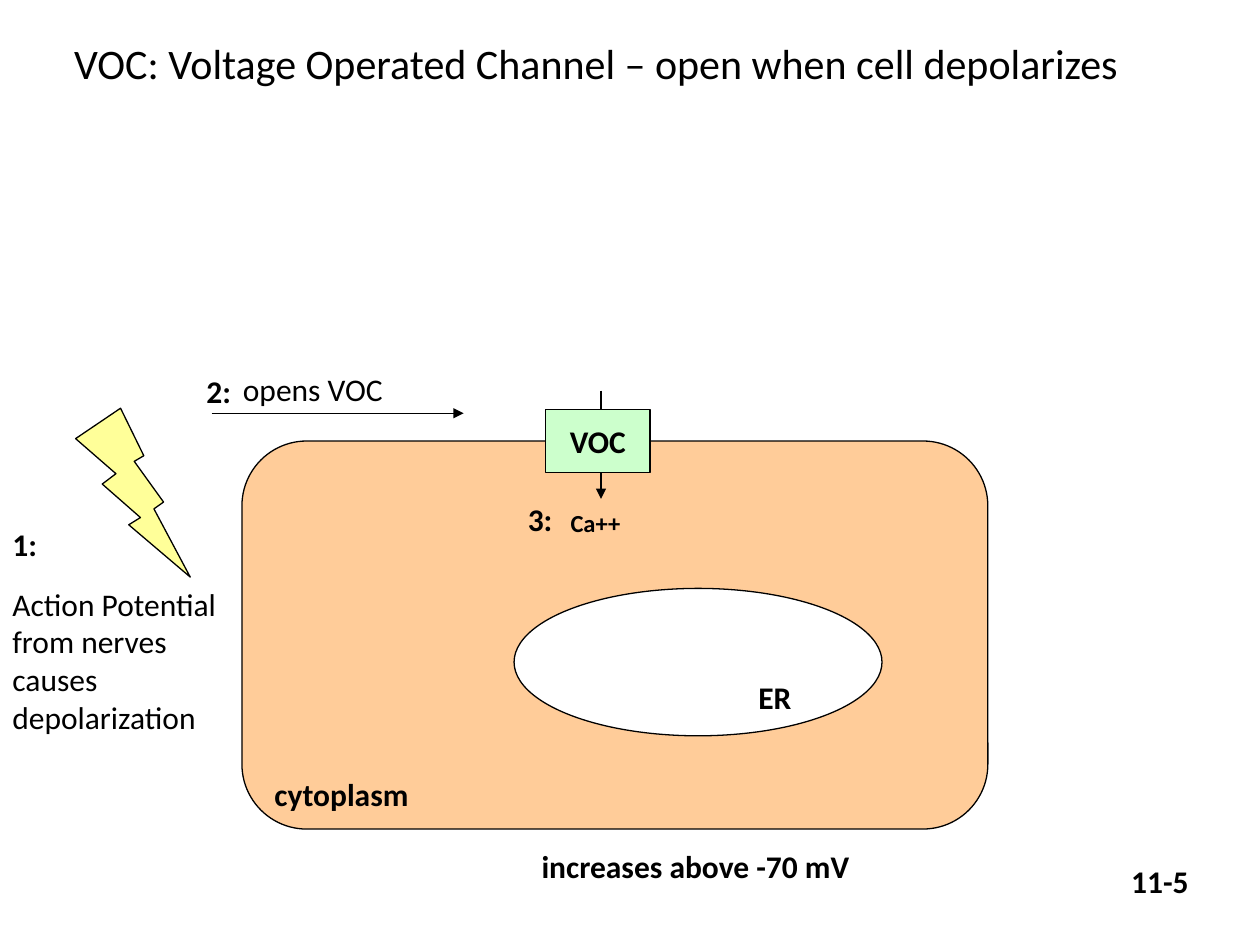
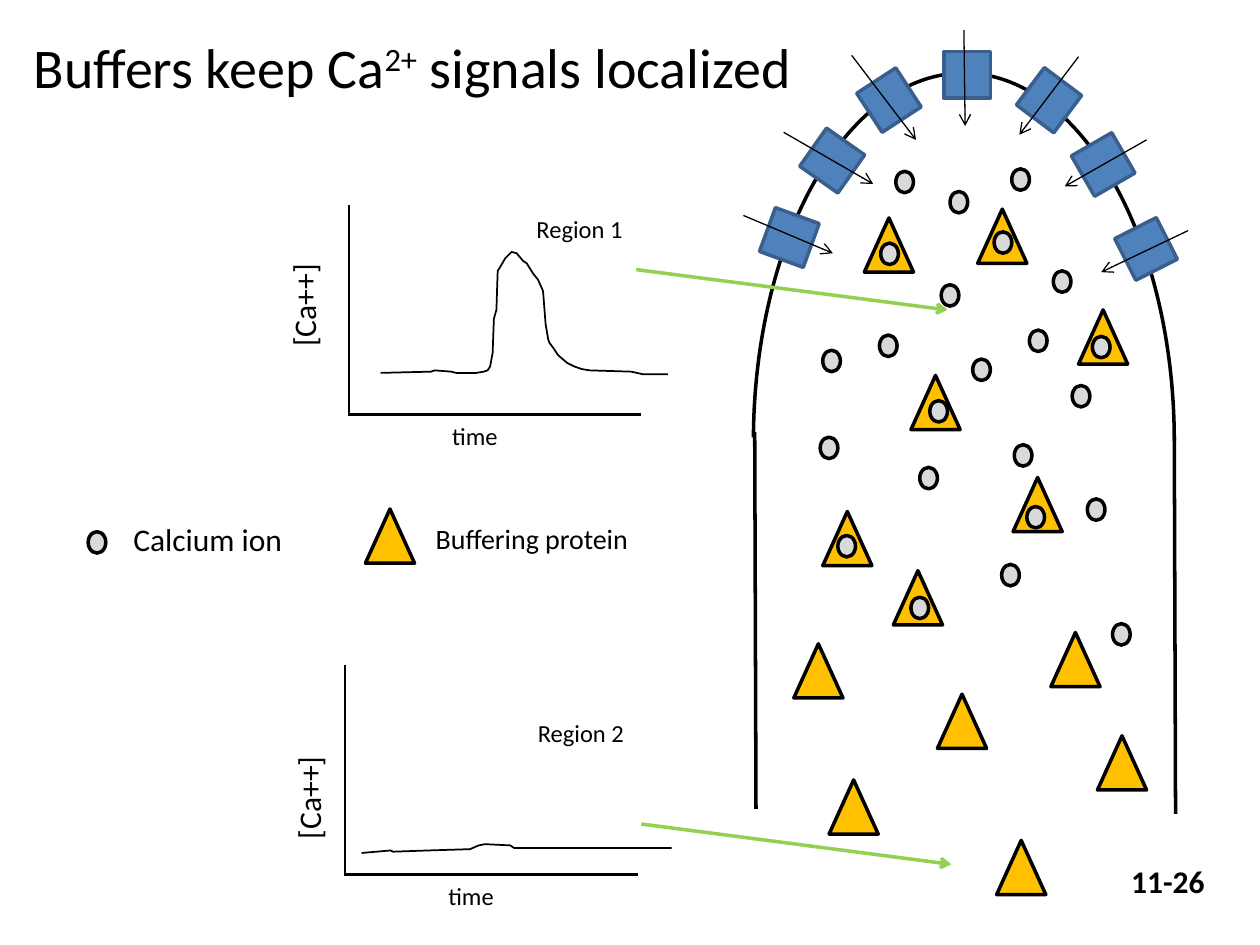
from lxml import etree
from pptx import Presentation
from pptx.dml.color import RGBColor
from pptx.enum import shapes, text
from pptx.oxml.ns import qn
from pptx.util import Inches, Pt

FONT = "Calibri"
BLACK = RGBColor(0x00, 0x00, 0x00)
WHITE = RGBColor(0xFF, 0xFF, 0xFF)
CELL = RGBColor(0xFF, 0xCC, 0x99)
BOLT = RGBColor(0xFF, 0xFF, 0x99)
VOC = RGBColor(0xCC, 0xFF, 0xCC)
BUFFER = RGBColor(0xFF, 0xC0, 0x00)
ION = RGBColor(0xD9, 0xD9, 0xD9)
CHANNEL = RGBColor(0x4F, 0x81, 0xBD)
CHANNEL_EDGE = RGBColor(0x3A, 0x5F, 0x8C)
POINTER = RGBColor(0x92, 0xD0, 0x50)
MSO = shapes.MSO_SHAPE

# Slide 1: (text, box, format)
BOLD = {"bold": True}
VOC_TITLE = ("VOC: Voltage Operated Channel – open when cell depolarizes",
             (0.49, 0.25, 8.5, 0.5), {"size": 24})
VOC_LABELS = [
    ("cytoplasm", (2.08, 6.1, 1.67, 0.4), BOLD),
    ("ER", (5.92, 5.33, 1.67, 0.4), BOLD),
    ("increases above -70 mV", (4.2, 6.67, 3.64, 0.4), BOLD),
    ("Action Potential from nerves causes depolarization", (0, 4.59, 1.85, 1.3), {}),
    ("opens VOC", (1.83, 2.89, 1.96, 0.4), {}),
    ("Ca++", (4.43, 3.98, 2.17, 0.33), {"bold": True, "size": 14}),
    ("3:", (4.09, 3.92, 1.49, 0.4), BOLD),
    ("2:", (1.54, 2.9, 1.49, 0.4), BOLD),
    ("1:", (0, 4.12, 1.49, 0.4), BOLD),
]

# Slide 2
BUFFER_TITLE = [("Buffers keep Ca", False), ("2+", True), (" signals localized", False)]
BUFFER_SIZE, ION_SIZE, CHANNEL_SIZE = (0.39, 0.43), (0.14, 0.17), (0.37, 0.37)
BUFFERS = [
    (7.76, 1.66), (6.86, 1.73), (6.53, 4.06), (7.09, 4.53), (8.04, 3.79),
    (7.23, 2.98), (8.56, 2.46), (8.34, 5.02), (6.58, 6.19), (8.71, 5.84),
    (7.44, 5.51), (6.3, 5.11), (7.91, 6.67),
]
IONS = [
    (7.11, 1.36), (7.54, 1.52), (8.03, 1.34), (6.99, 1.93), (7.89, 1.84),
    (8.36, 2.15), (7.47, 2.26), (8.17, 2.62), (6.98, 2.66), (7.72, 2.85),
    (8.51, 3.06), (6.51, 3.47), (7.3, 3.71), (8.05, 3.53), (8.63, 3.96),
    (6.53, 2.78), (6.65, 4.25), (7.95, 4.48), (8.67, 2.67), (7.38, 3.18),
    (8.15, 4.02), (8.83, 4.95), (7.23, 4.74),
]
# (corner, rotation, inflow start, inflow end)
CHANNELS = [
    ((6.08, 1.7), 20, (5.9, 1.71), (6.61, 2.01)),
    ((6.42, 1.09), 35.1, (6.22, 1.05), (6.93, 1.46)),
    ((6.87, 0.61), 56.9, (6.76, 0.44), (7.27, 1.11)),
    ((7.49, 0.41), 90, (7.65, 0.24), (7.66, 1)),
    ((8.14, 0.61), 126.8, (8.56, 0.45), (8.09, 1.07)),
    ((8.57, 1.12), 150, (9.1, 1.11), (8.45, 1.48)),
    ((8.91, 1.79), 153.1, (9.43, 1.83), (8.74, 2.16)),
]
WALLS = [((5.99, 3.43), (6, 6.42)), ((9.32, 3.47), (9.33, 6.46))]
AXIS_WIDTH, AXIS_HEIGHT = 2.33, 1.66
PLOTS = [
    {"name": "Region 1", "name_at": (4.16, 1.65), "origin": (2.77, 3.29),
     "unit_at": (1.83, 2.07), "pointer": ((5.05, 2.14), (7.52, 2.46)),
     "curve": [
         (3.02, 2.96), (3.42, 2.95), (3.45, 2.94), (3.58, 2.95), (3.62, 2.96),
         (3.78, 2.96), (3.84, 2.95), (3.87, 2.94), (3.89, 2.91), (3.91, 2.8),
         (3.92, 2.53), (3.94, 2.46), (3.95, 2.15), (3.97, 2.12), (4.01, 2.05),
         (4.06, 2), (4.1, 2.01), (4.15, 2.07), (4.18, 2.09), (4.23, 2.17),
         (4.27, 2.22), (4.31, 2.31), (4.33, 2.57), (4.35, 2.69), (4.36, 2.72),
         (4.39, 2.76), (4.43, 2.82), (4.5, 2.88), (4.56, 2.91), (4.62, 2.93),
         (4.68, 2.94), (5.01, 2.95), (5.1, 2.97), (5.3, 2.97)]},
    {"name": "Region 2", "name_at": (4.17, 5.65), "origin": (2.74, 6.94),
     "unit_at": (1.87, 5.98), "pointer": ((5.09, 6.54), (7.55, 6.86)),
     "curve": [
         (2.87, 6.77), (3.1, 6.75), (3.12, 6.76), (3.4, 6.75), (3.73, 6.74),
         (3.8, 6.71), (3.85, 6.7), (4.05, 6.71), (4.08, 6.73), (5.33, 6.73)]},
]


def inches(values):
    return [Inches(v) for v in values]


def add_text(slide, content, box, fmt=None, wrap=True, rotation=0):
    """Add a text box; content is a string or a list of (string, superscript)."""
    sp = slide.shapes.add_textbox(*inches(box))
    sp.rotation = rotation
    tf = sp.text_frame
    tf.word_wrap = wrap
    tf.auto_size = text.MSO_AUTO_SIZE.SHAPE_TO_FIT_TEXT
    runs = [(content, False)] if isinstance(content, str) else content
    write(tf.paragraphs[0], runs, fmt or {})


def write(p, runs, fmt):
    for words, raised in runs:
        r = p.add_run()
        r.text = words
        for key, value in {"name": FONT, "size": 18, **fmt}.items():
            setattr(r.font, key, Pt(value) if key == "size" else value)
        r.font.color.rgb = BLACK
        if raised:
            r._r.get_or_add_rPr().set("baseline", "30000")


def add_shape(slide, kind, box, fill=None, width=0.75, edge=BLACK, rotation=0):
    sp = slide.shapes.add_shape(kind, *inches(box))
    sp.rotation = rotation
    return paint(sp, fill, width, edge)


def paint(sp, fill, width, edge=BLACK):
    sp.shadow.inherit = False
    if fill is None:
        sp.fill.background()
    else:
        sp.fill.solid()
        sp.fill.fore_color.rgb = fill
    sp.line.color.rgb = edge
    sp.line.width = Pt(width)
    return sp


def add_line(slide, start, end, width=0.75, color=BLACK, head=None):
    c = slide.shapes.add_connector(shapes.MSO_CONNECTOR.STRAIGHT, *inches(start + end))
    c.line.color.rgb = color
    c.line.width = Pt(width)
    if head:
        etree.SubElement(c.line._get_or_add_ln(), qn("a:tailEnd"), type=head)
    etree.SubElement(c._element.spPr, qn("a:effectLst"))


def add_curve(slide, points):
    pts = [tuple(inches(pt)) for pt in points]
    builder = slide.shapes.build_freeform(*pts[0], scale=1.0)
    builder.add_line_segments(pts[1:], close=False)
    paint(builder.convert_to_shape(), None, 1)


def add_page_number(slide, number, width):
    add_text(slide, number, (8.88, 6.79, width, 0.4), BOLD, wrap=False)


def add_buffer(slide, at):
    add_shape(slide, MSO.ISOSCELES_TRIANGLE, at + BUFFER_SIZE, BUFFER, 2)


def add_ion(slide, at):
    add_shape(slide, MSO.OVAL, at + ION_SIZE, ION, 2)


def add_plot(slide, plot):
    x, y = plot["origin"]
    add_line(slide, *plot["pointer"], 2, POINTER, "arrow")
    add_curve(slide, plot["curve"])
    add_text(slide, plot["name"], plot["name_at"] + (1.37, 0.34), {"size": 14})
    add_line(slide, (x, y - AXIS_HEIGHT), (x, y), 1.25)
    add_line(slide, (x + AXIS_WIDTH - 0.01, y), (x - 0.01, y), 1.25)
    add_text(slide, "[Ca++]", plot["unit_at"] + (1.16, 0.4), rotation=270)
    add_text(slide, "time", (x + 0.72, y, 1.9, 0.34), {"size": 14})


def build_voc_slide(slide):
    cell = add_shape(slide, MSO.ROUNDED_RECTANGLE, (1.92, 3.5, 5.92, 3.08), CELL)
    cell.adjustments[0] = 0.167
    add_text(slide, *VOC_TITLE)
    add_shape(slide, MSO.OVAL, (4.08, 4.67, 2.92, 1.17), WHITE)
    add_shape(slide, MSO.LIGHTNING_BOLT, (0.6, 3.24, 0.91, 1.34), BOLT)
    add_line(slide, (1.68, 3.28), (3.68, 3.28), head="triangle")
    add_line(slide, (4.77, 3.1), (4.77, 3.96), 1.5, head="triangle")
    channel = add_shape(slide, MSO.RECTANGLE, (4.33, 3.25, 0.83, 0.5), VOC)
    tf = channel.text_frame
    tf.word_wrap = False
    tf.vertical_anchor = text.MSO_ANCHOR.MIDDLE
    tf.paragraphs[0].alignment = text.PP_ALIGN.CENTER
    write(tf.paragraphs[0], [("VOC", False)], BOLD)
    for label in VOC_LABELS:
        add_text(slide, *label)
    add_page_number(slide, "11-5", 0.7)


def build_buffer_slide(slide):
    for at in BUFFERS:
        add_buffer(slide, at)
    tip = add_shape(slide, MSO.ARC, (5.98, 0.58, 3.34, 5.84), width=2)
    tip.adjustments[0], tip.adjustments[1] = 108.573, 0
    for at, rotation, _, _ in CHANNELS:
        add_shape(slide, MSO.RECTANGLE, at + CHANNEL_SIZE, CHANNEL, 2, CHANNEL_EDGE, rotation)
    for _, _, start, end in CHANNELS:
        add_line(slide, start, end, head="arrow")
    for wall in WALLS:
        add_line(slide, *wall, 2)
    for at in IONS:
        add_ion(slide, at)
    for plot in PLOTS:
        add_plot(slide, plot)
    add_ion(slide, (0.7, 4.22))
    add_text(slide, "Calcium ion", (0.96, 4.08, 1.7, 0.4))
    add_buffer(slide, (2.9, 4.04))
    add_text(slide, "Buffering protein", (3.36, 4.09, 2.19, 0.37), {"size": 16})
    add_page_number(slide, "11-26", 0.84)
    add_text(slide, BUFFER_TITLE, (0.17, 0.21, 6.32, 0.64), {"size": 32}, wrap=False)


def main():
    prs = Presentation()
    prs.slide_width, prs.slide_height = Inches(10), Inches(7.5)
    for build in (build_voc_slide, build_buffer_slide):
        build(prs.slides.add_slide(prs.slide_layouts[6]))
    prs.save("out.pptx")


if __name__ == "__main__":
    main()
